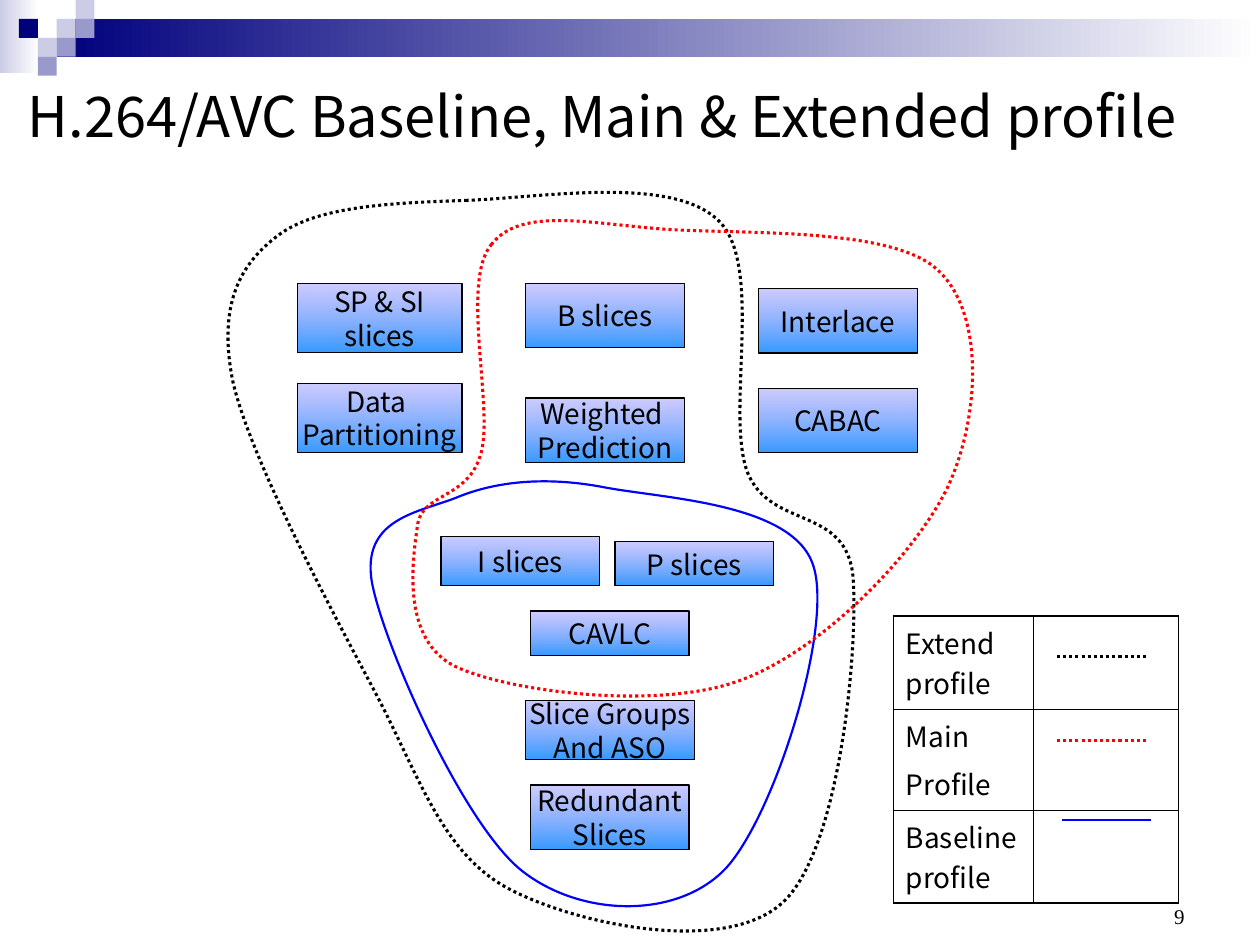
from lxml import etree
from pptx import Presentation
from pptx.dml.color import RGBColor
from pptx.enum.dml import MSO_LINE
from pptx.enum.shapes import MSO_CONNECTOR, MSO_SHAPE
from pptx.enum.text import MSO_ANCHOR, PP_ALIGN
from pptx.oxml.ns import qn
from pptx.util import Pt

RECT, LINE = MSO_SHAPE.RECTANGLE, MSO_CONNECTOR.STRAIGHT
DOTS = MSO_LINE.ROUND_DOT  # stored as sysDot
LEFT, MID, RIGHT = PP_ALIGN.LEFT, PP_ALIGN.CENTER, PP_ALIGN.RIGHT
CENTER, BOTTOM = MSO_ANCHOR.MIDDLE, MSO_ANCHOR.BOTTOM

BLACK = RGBColor(0x00, 0x00, 0x00)
WHITE = RGBColor(0xFF, 0xFF, 0xFF)
RED = RGBColor(0xFF, 0x00, 0x00)
BLUE = RGBColor(0x00, 0x00, 0xFF)
NAVY = RGBColor(0x00, 0x00, 0x7D)
PALE = RGBColor(0xCC, 0xCC, 0xE6)
MAUVE = RGBColor(0x99, 0x99, 0xCC)
LILAC = RGBColor(0x99, 0x99, 0xFF)
SKY = RGBColor(0x33, 0x99, 0xFF)

SANS, SERIF = "Noto Sans CJK KR", "Times New Roman"
TILE = 10.8

# Header tiles: column, row, colour
TILES = [(3, 1, PALE), (4, 0, PALE), (4, 1, MAUVE), (2, 2, PALE),
         (1, 1, NAVY), (3, 2, MAUVE), (2, 3, MAUVE)]

# Coding tools: left, top, width, height, text
TOOLS = [
    (170, 162, 94, 39.6, "SP & SI\nslices"),
    (170, 219, 94, 39.6, "Data \nPartitioning"),
    (300.3, 162, 90.7, 36.7, "B slices"),
    (300.3, 227.5, 90.7, 36.7, "Weighted \nPrediction"),
    (433.5, 165, 90.7, 36.7, "Interlace"),
    (433.5, 221.8, 90.7, 36.7, "CABAC"),
    (252, 306.7, 90.7, 28.1, "I slices"),
    (351.4, 309.6, 90.7, 25.2, "P slices"),
    (303.1, 349.2, 90.7, 25.2, "CAVLC"),
    (300.3, 400.3, 96.5, 33.8, "Slice Groups\nAnd ASO"),
    (303.1, 448.6, 90.7, 36.7, "Redundant\nSlices"),
]

# Profile outlines: a start point, then three points for each curve
EXTEND = [
    (267, 114.5),
    (225, 116), (181.5, 117.5), (159, 134.5),
    (137, 151), (124.5, 174), (133, 217.5),
    (142.5, 260.5), (187, 344), (213, 393),
    (239, 441.5), (251.5, 486.5), (290, 507.5),
    (329, 528.5), (414, 546), (447, 516),
    (480, 486.5), (490.5, 371), (487.5, 330),
    (484, 288.5), (440, 303), (427, 269.5),
    (414.5, 235.5), (437, 151), (410.5, 126),
    (384, 100), (309.5, 113), (267, 114.5),
]
BASE = [
    (345.5, 278.5),
    (312, 272), (283, 275), (260.5, 284.5),
    (238.5, 293), (206.5, 296.5), (212.5, 332.5),
    (219, 368), (264, 469.5), (297.5, 497),
    (331, 524), (386, 525.5), (414, 497),
    (442, 468), (476, 360), (465, 324),
    (454.5, 287.5), (380, 285), (345.5, 278.5),
]
MAIN = [
    (281, 139.5),
    (263, 160.5), (282, 232), (275, 258.5),
    (268, 286), (240.5, 281), (238.5, 301),
    (235.5, 322), (229.5, 366), (260.5, 381),
    (291.5, 395.5), (376, 406), (422.5, 389),
    (469.5, 372), (522.5, 317.5), (541.5, 278.5),
    (560, 239), (563, 178.5), (535.5, 154),
    (509, 129.5), (422.5, 134), (380, 131),
    (337.5, 128), (298, 118), (281, 139.5),
]

# Legend rows: height, text
LEGEND = [(53.2, "Extend profile"), (57.6, "Main\nProfile"),
          (53.2, "Baseline profile")]
KEYS = [(604, 375, BLACK, 1.75, DOTS), (604, 423.2, RED, 1.75, DOTS),
        (607, 468.6, BLUE, 1.5, None)]


def put(frame, text, size, font=SANS, align=LEFT, gap=0):
    frame.text = text
    for para in frame.paragraphs:
        para.alignment = align
        para.space_before = Pt(gap)
        for run in para.runs:
            run.font.size = Pt(size)
            run.font.name = font
            run.font.color.rgb = BLACK


def label(slide, box, text, size, font, align, anchor):
    frame = slide.shapes.add_textbox(*map(Pt, box)).text_frame
    frame.word_wrap = True
    frame.vertical_anchor = anchor
    put(frame, text, size, font, align)


def block(slide, box, color):
    shape = slide.shapes.add_shape(RECT, *map(Pt, box))
    shape.shadow.inherit = False
    shape.fill.solid()
    shape.fill.fore_color.rgb = color
    shape.line.fill.background()
    return shape


def blend(shape, first, last, angle):
    shape.fill.gradient()
    shape.fill.gradient_angle = angle
    for stop, color in zip(shape.fill.gradient_stops, (first, last)):
        stop.color.rgb = color


def tool(slide, box, text):
    shape = block(slide, box, SKY)
    blend(shape, LILAC, SKY, 270)
    # The upper end of the blend is half clear
    tone = next(shape.element.spPr.iter(qn("a:srgbClr")))
    etree.SubElement(tone, qn("a:alpha")).set("val", "50000")
    shape.line.color.rgb = BLACK
    shape.line.width = Pt(0.75)
    shape.text_frame.word_wrap = False
    shape.text_frame.vertical_anchor = CENTER
    put(shape.text_frame, text, 16, align=MID)


def stroke(line, color, width, dash):
    line.color.rgb = color
    line.width = Pt(width)
    if dash:
        line.dash_style = dash


def outline(slide, points, color, width, dash=None):
    first, *rest = [(Pt(x), Pt(y)) for x, y in points]
    pen = slide.shapes.build_freeform(*first)
    pen.add_line_segments(rest, close=True)
    shape = pen.convert_to_shape()
    shape.shadow.inherit = False
    shape.fill.background()
    stroke(shape.line, color, width, dash)
    # Join each three straight steps into one cubic curve
    steps = list(shape.element.iter(qn("a:lnTo")))
    for i in range(0, len(steps), 3):
        curve = etree.Element(qn("a:cubicBezTo"))
        steps[i].addprevious(curve)
        for step in steps[i:i + 3]:
            curve.append(step[0])
            step.getparent().remove(step)


def key(slide, x, y, color, width, dash):
    rule = slide.shapes.add_connector(LINE, Pt(x), Pt(y), Pt(x + 51), Pt(y))
    stroke(rule.line, color, width, dash)
    etree.SubElement(rule.element.spPr, qn("a:effectLst"))


def edge(cell, side, width):
    props = cell._tc.get_or_add_tcPr()
    line = etree.SubElement(props, qn("a:" + side), w=str(Pt(width)))
    fill = etree.SubElement(line, qn("a:solidFill"))
    etree.SubElement(fill, qn("a:srgbClr"), val=str(BLACK))


def legend(slide):
    box = map(Pt, (510.5, 352, 163, 164))
    table = slide.shapes.add_table(3, 2, *box).table
    table.first_row = table.horz_banding = False
    for col, width in zip(table.columns, (80, 83)):
        col.width = Pt(width)
    for i, (height, text) in enumerate(LEGEND):
        table.rows[i].height = Pt(height)
        put(table.cell(i, 0).text_frame, text, 16, gap=4)
        for j in range(2):
            cell = table.cell(i, j)
            outer = {"lnL": j == 0, "lnR": j == 1,
                     "lnT": i == 0, "lnB": i == 2}
            for side, thick in outer.items():
                edge(cell, side, 1.08 if thick else 0.45)
            cell.fill.background()


def header(slide):
    fade = block(slide, (0, 0, 22.3, 41.8), PALE)
    blend(fade, WHITE, PALE, 180)
    bar = block(slide, (32.4, TILE, 687.6, 21.6), NAVY)
    blend(bar, WHITE, NAVY, 180)
    for col, row, color in TILES:
        block(slide, (col * TILE, row * TILE, TILE, TILE), color)


def main():
    deck = Presentation()
    deck.slide_width, deck.slide_height = Pt(720), Pt(540)
    slide = deck.slides.add_slide(deck.slide_layouts[6])

    # Header and title
    header(slide)
    label(slide, (8.9, 29, 698, 73.4),
          "H.264/AVC Baseline, Main & Extended profile",
          32, SANS, LEFT, CENTER)

    # Coding tools and the profiles around them
    for *box, text in TOOLS:
        tool(slide, box, text)
    outline(slide, EXTEND, BLACK, 1.75, DOTS)
    outline(slide, BASE, BLUE, 1.25)

    # Legend
    legend(slide)
    for item in KEYS:
        key(slide, *item)
    outline(slide, MAIN, RED, 1.75, DOTS)

    # Page number, just below the legend
    label(slide, (516, 498, 168, 36), "9", 12, SERIF, RIGHT, BOTTOM)
    deck.save("out.pptx")


if __name__ == "__main__":
    main()
